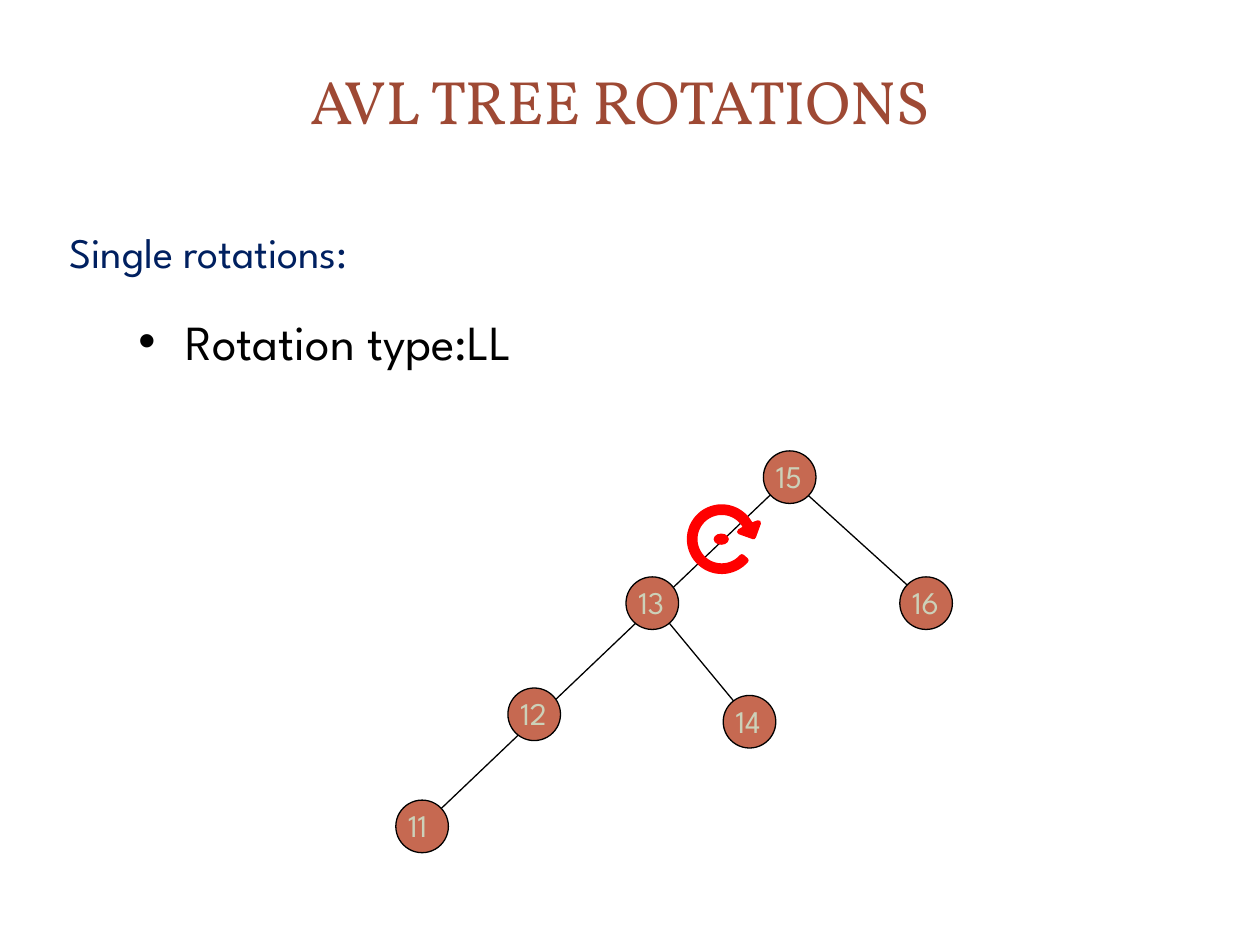
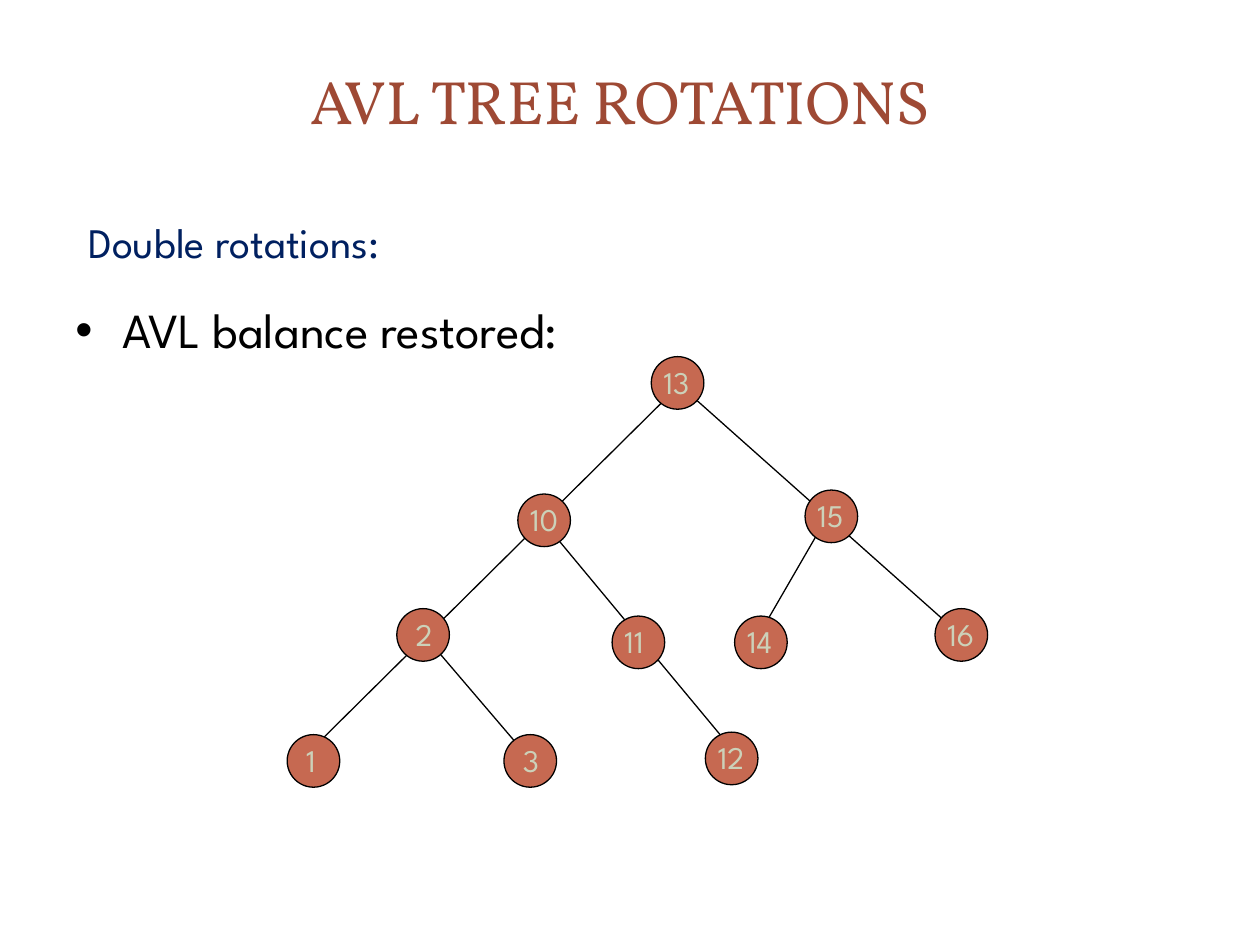
from math import cos, sin, radians
from lxml import etree
from pptx import Presentation
from pptx import util as u
from pptx.dml import color
from pptx.enum import shapes, text
from pptx.oxml import ns

hue = color.RGBColor.from_string
SANS, SERIF = "League Spartan", "Vollkorn"
INK, RED, CLAY = "000000", "FF0000", "C66951"
SIZE = 1.06  # node diameter, cm


def paint(shape, fill, line, width=0.75):
    shape.shadow.inherit = False
    shape.fill.solid()
    shape.fill.fore_color.rgb = hue(fill)
    shape.line.color.rgb = hue(line)
    shape.line.width = u.Pt(width)


def write(slide, box, words, size, tint, font=SANS, left=0, first=0):
    frame = slide.shapes.add_textbox(*map(u.Cm, box)).text_frame
    frame.word_wrap = True
    frame.text = words
    para = frame.paragraphs[0]
    props = para._p.get_or_add_pPr()
    props.set("marL", str(u.Cm(left)))
    props.set("indent", str(u.Cm(first)))
    face = para.runs[0].font
    face.name, face.size, face.color.rgb = font, u.Pt(size), hue(tint)
    return frame


# Headings, lines (x1, y1, x2, y2) and nodes (value, left, top) in cm
pages = [
    dict(
        head=("Single rotations:", 0.84, 4.45),
        point=("Rotation type:LL", 2.54, 6.15, 9.32),
        lines=[(13.06, 12.04, 15.16, 14.58), (8.41, 16.76, 16.03, 9.5),
               (16.23, 9.93, 18.34, 11.84)],
        nodes=[(13, 12.62, 11.63), (15, 15.39, 9.09), (16, 18.14, 11.63),
               (12, 10.24, 13.87), (14, 14.58, 14.02), (11, 7.98, 16.13)],
    ),
    dict(
        head=("Double rotations:", 1.22, 4.24),
        point=("AVL balance restored:", 1.27, 5.92, 11.63),
        lines=[(6.35, 15.04, 13.69, 7.77), (8.46, 12.7, 10.8, 15.44),
               (10.82, 10.36, 15.04, 15.44), (16.71, 10.36, 15.24, 12.9),
               (13.54, 7.62, 19.25, 12.7)],
        nodes=[(1, 5.79, 14.81), (3, 10.16, 14.81), (13, 13.13, 7.19),
               (15, 16.23, 9.88), (16, 18.85, 12.27), (10, 10.44, 9.96),
               (14, 14.81, 12.42), (2, 8, 12.27), (11, 12.34, 12.42),
               (12, 14.22, 14.76)],
    ),
]

deck = Presentation()
deck.slide_width, deck.slide_height = u.Cm(25.4), u.Cm(19.05)

for page in pages:
    slide = deck.slides.add_slide(deck.slide_layouts[6])

    # Title
    title = write(slide, (1.7, 0.43, 21.59, 3.18), "AVL TREE ROTATIONS",
                  35, "9E4934", SERIF)
    title.vertical_anchor = text.MSO_ANCHOR.MIDDLE
    title.paragraphs[0].alignment = text.PP_ALIGN.CENTER

    # Heading and bullet point
    words, x, y = page["head"]
    write(slide, (x, y, 23.7, 1.7), words, 24, "002060", left=0.95, first=-0.64)
    words, x, y, wide = page["point"]
    point = write(slide, (x, y, wide, 1.7), words, 28, INK, left=0.95, first=-0.95)
    props = point.paragraphs[0]._p.pPr
    etree.SubElement(props, ns.qn("a:buFont")).set("typeface", "Arial")
    etree.SubElement(props, ns.qn("a:buChar")).set("char", "•")

    # Tree edges, behind the nodes
    for ends in page["lines"]:
        edge = slide.shapes.add_connector(shapes.MSO_CONNECTOR.STRAIGHT,
                                          *map(u.Cm, ends))
        edge.line.color.rgb = hue(INK)
        edge.line.width = u.Pt(0.75)
        etree.SubElement(edge._element.spPr, ns.qn("a:effectLst"))

    # Tree nodes; single digits sit a little further right
    for value, x, y in page["nodes"]:
        node = slide.shapes.add_shape(shapes.MSO_SHAPE.OVAL,
                                      *map(u.Cm, (x, y, SIZE, SIZE)))
        paint(node, CLAY, INK)
        shift = 0.13 if value < 10 else 0
        label = write(slide, (x + shift, y, 1.27, 1.02), str(value), 18, "CCD1B9")
        label.auto_size = text.MSO_AUTO_SIZE.SHAPE_TO_FIT_TEXT

# Clockwise rotation arrow on the first slide
midx, midy = 14.55, 10.87
turns = range(-25, -320, -6)
ring = [(midx + r * cos(radians(a)), midy + r * sin(radians(a)))
        for r, arc in ((0.54, turns), (0.65, reversed(turns))) for a in arc]
tip = [(15.29, 10.54), (15.19, 10.82), (14.91, 10.72)]
dots = [(u.Cm(x), u.Cm(y)) for x, y in ring + tip]
group = deck.slides[0].shapes.add_group_shape()
pen = group.shapes.build_freeform(*dots[0])
pen.add_line_segments(dots[1:], close=True)
paint(pen.convert_to_shape(), RED, RED, 3)
hub = group.shapes.add_shape(shapes.MSO_SHAPE.OVAL,
                             *map(u.Cm, (14.4, 10.77, 0.28, 0.2)))
paint(hub, RED, RED)

deck.save("out.pptx")
